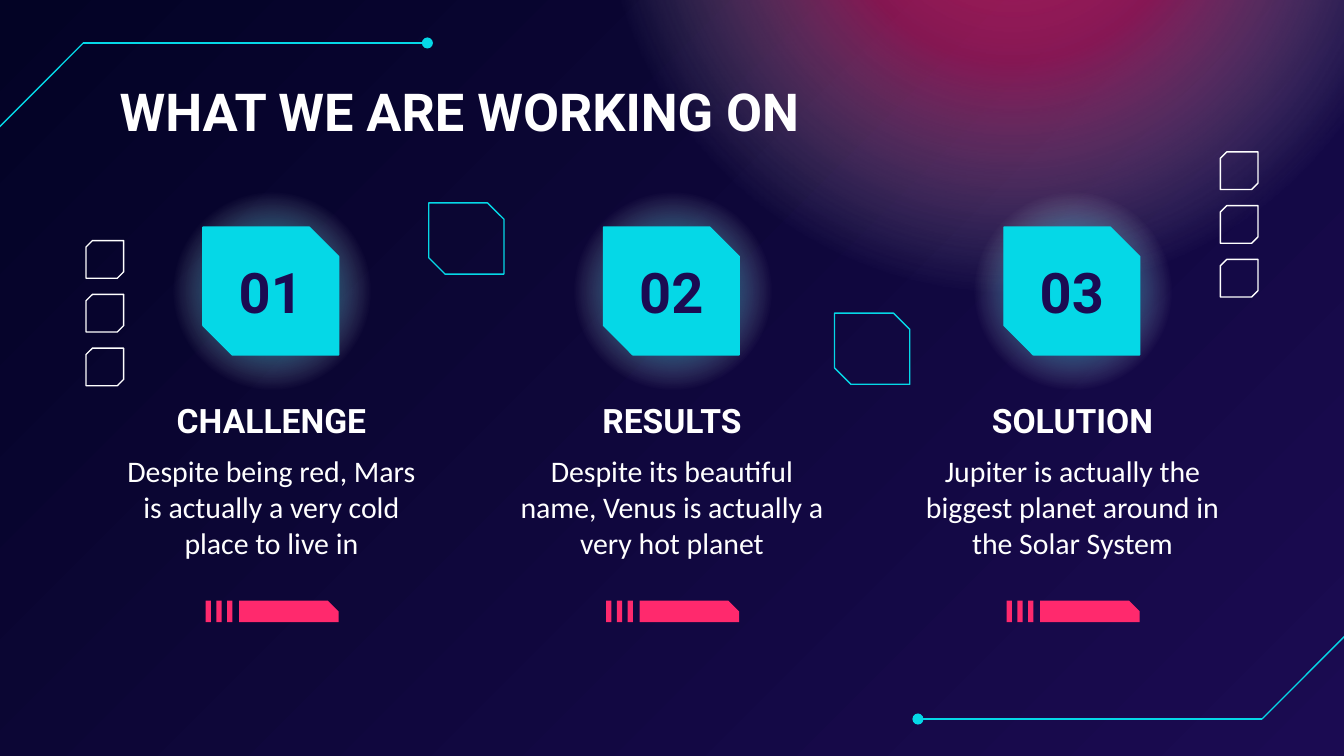
from lxml import etree
from pptx import Presentation
from pptx.dml.color import RGBColor
from pptx.enum.shapes import MSO_CONNECTOR, MSO_SHAPE as Shape
from pptx.enum.text import MSO_ANCHOR as Anchor, MSO_AUTO_SIZE, PP_ALIGN as Align
from pptx.oxml import parse_xml
from pptx.oxml.ns import nsdecls, qn
from pptx.util import Inches, Pt

CYAN, PINK, WHITE = "05D8E7", "FF296D", "FFFFFF"
NIGHT, INDIGO = "030325", "1B0B52"
COLUMN_STEP = 2.98
COLUMNS = [
    ("01", "CHALLENGE", "Despite being red, Mars is actually a very cold place to live in"),
    ("02", "RESULTS", "Despite its beautiful name, Venus is actually a very hot planet"),
    ("03", "SOLUTION", "Jupiter is actually the biggest planet around in the Solar System"),
]


def color(value):
    return RGBColor.from_string(value)


def box(left, top, width, height):
    return [Inches(value) for value in (left, top, width, height)]


def set_background(slide):
    fill = slide.background.fill
    fill.gradient()
    fill.gradient_angle = 315
    for stop, value in zip(fill.gradient_stops, (NIGHT, INDIGO)):
        stop.color.rgb = color(value)


def add_shape(shapes, kind, bounds, fill=None, line=None, adjust=None, rotation=0):
    shape = shapes.add_shape(kind, *box(*bounds))
    shape.shadow.inherit = False
    shape.rotation = rotation
    for index, value in enumerate(adjust or []):
        shape.adjustments[index] = value
    if fill:
        shape.fill.solid()
        shape.fill.fore_color.rgb = color(fill)
    else:
        shape.fill.background()
    if line:
        shape.line.color.rgb = color(line)
        shape.line.width = Pt(0.75)
    else:
        shape.line.fill.background()
    return shape


def add_glow(shapes, left, top, size, value, center_alpha, middle_alpha):
    """Circle whose colour fades out from its centre."""
    shape = add_shape(shapes, Shape.OVAL, (left, top, size, size))
    stops = [(0, value, center_alpha), (30, value, middle_alpha),
             (69, WHITE, 0), (100, WHITE, 0)]
    stops_xml = "".join(
        f'<a:gs pos="{position * 1000}"><a:srgbClr val="{stop_color}">'
        f'<a:alpha val="{alpha * 1000}"/></a:srgbClr></a:gs>'
        for position, stop_color, alpha in stops)
    gradient = parse_xml(
        f'<a:gradFill {nsdecls("a")} rotWithShape="1"><a:gsLst>{stops_xml}</a:gsLst>'
        '<a:path path="circle"><a:fillToRect l="50000" t="50000" r="50000" b="50000"/>'
        '</a:path></a:gradFill>')
    properties = shape._element.spPr
    properties.replace(properties.find(qn("a:noFill")), gradient)


def add_line(shapes, start, end, dot=False):
    points = [Inches(value) for value in (*start, *end)]
    connector = shapes.add_connector(MSO_CONNECTOR.STRAIGHT, *points)
    connector.line.color.rgb = color(CYAN)
    connector.line.width = Pt(0.75)
    properties = connector._element.spPr
    if dot:
        etree.SubElement(properties.find(qn("a:ln")), qn("a:tailEnd"), type="oval")
    etree.SubElement(properties, qn("a:effectLst"))


def format_text(shape, text, size, value=WHITE, font="Roboto", bold=True,
                align=Align.CENTER, anchor=Anchor.MIDDLE):
    frame = shape.text_frame
    frame.text = text
    frame.word_wrap = True
    frame.auto_size = MSO_AUTO_SIZE.NONE
    frame.vertical_anchor = anchor
    frame.margin_left = frame.margin_right = Inches(0.1)
    frame.margin_top = frame.margin_bottom = Inches(0.1)
    paragraph = frame.paragraphs[0]
    paragraph.alignment = align
    run_font = paragraph.runs[0].font
    run_font.name, run_font.size, run_font.bold = font, Pt(size), bold
    run_font.color.rgb = color(value)


def add_text(shapes, bounds, text, size, **style):
    format_text(shapes.add_textbox(*box(*bounds)), text, size, **style)


def add_title(slide, text):
    title = slide.shapes.title
    title.left, title.top, title.width, title.height = box(0.79, 0.49, 7.85, 0.67)
    format_text(title, text, 28, align=Align.LEFT, anchor=Anchor.TOP)
    # Bring the title in front of the glow
    title._element.getparent().append(title._element)


def add_corner_lines(shapes):
    """Bent line at the top left, and the same turned half round at the bottom right."""
    edge, bend, end = (-0.01, 0.95), (0.62, 0.32), (3.18, 0.32)
    turned = [(10.01 - x, 5.67 - y) for x, y in (edge, bend, end)]
    for first, middle, last in ((edge, bend, end), turned):
        group = shapes.add_group_shape().shapes
        add_line(group, first, middle)
        add_line(group, middle, last, dot=True)


def add_bar(shapes, left):
    group = shapes.add_group_shape().shapes
    top, height = 4.47, 0.16
    for index in range(3):
        add_shape(group, Shape.RECTANGLE, (left + 0.08 * index, top, 0.04, height), PINK)
    add_shape(group, Shape.SNIP_1_RECTANGLE, (left + 0.25, top, 0.74, height),
              PINK, adjust=[0.5])


def add_column(shapes, offset, number, heading, body):
    add_glow(shapes, 1.27 + offset, 1.41, 1.51, CYAN, 71, 48)
    add_shape(shapes, Shape.SNIP_2_DIAG_RECTANGLE, (1.51 + offset, 1.69, 1.01, 0.95),
              CYAN, CYAN, adjust=[0, 0.23])
    add_text(shapes, (1.59 + offset, 1.9, 0.85, 0.53), number, 30, value=INDIGO)
    add_text(shapes, (0.78 + offset, 2.93, 2.48, 0.39), heading, 18)
    add_text(shapes, (0.78 + offset, 3.27, 2.48, 1.01), body, 16,
             font="Calibri", bold=False, anchor=Anchor.TOP)
    add_bar(shapes, 1.53 + offset)


def add_small_frames(shapes, left, top):
    group = shapes.add_group_shape().shapes
    for index in range(3):
        add_shape(group, Shape.SNIP_2_DIAG_RECTANGLE, (left, top + 0.4 * index, 0.28, 0.28),
                  line=WHITE, adjust=[0, 0.17], rotation=90)


def main():
    presentation = Presentation()
    presentation.slide_width = Inches(10)
    presentation.slide_height = Inches(10 * 9 / 16)
    slide = presentation.slides.add_slide(presentation.slide_layouts[5])
    shapes = slide.shapes

    # Backdrop
    set_background(slide)
    add_glow(shapes, 4.41, -3.99, 6.25, PINK, 67, 49)
    add_corner_lines(shapes)

    # Title and columns
    add_title(slide, "WHAT WE ARE WORKING ON")
    for index, column in enumerate(COLUMNS):
        add_column(shapes, COLUMN_STEP * index, *column)

    # Outlined decorations
    for left, top in ((3.19, 1.51), (6.21, 2.33)):
        add_shape(shapes, Shape.SNIP_2_DIAG_RECTANGLE, (left, top, 0.56, 0.53),
                  line=CYAN, adjust=[0, 0.23])
    add_small_frames(shapes, 9.08, 1.13)
    add_small_frames(shapes, 0.64, 1.79)

    presentation.save("out.pptx")


if __name__ == "__main__":
    main()
